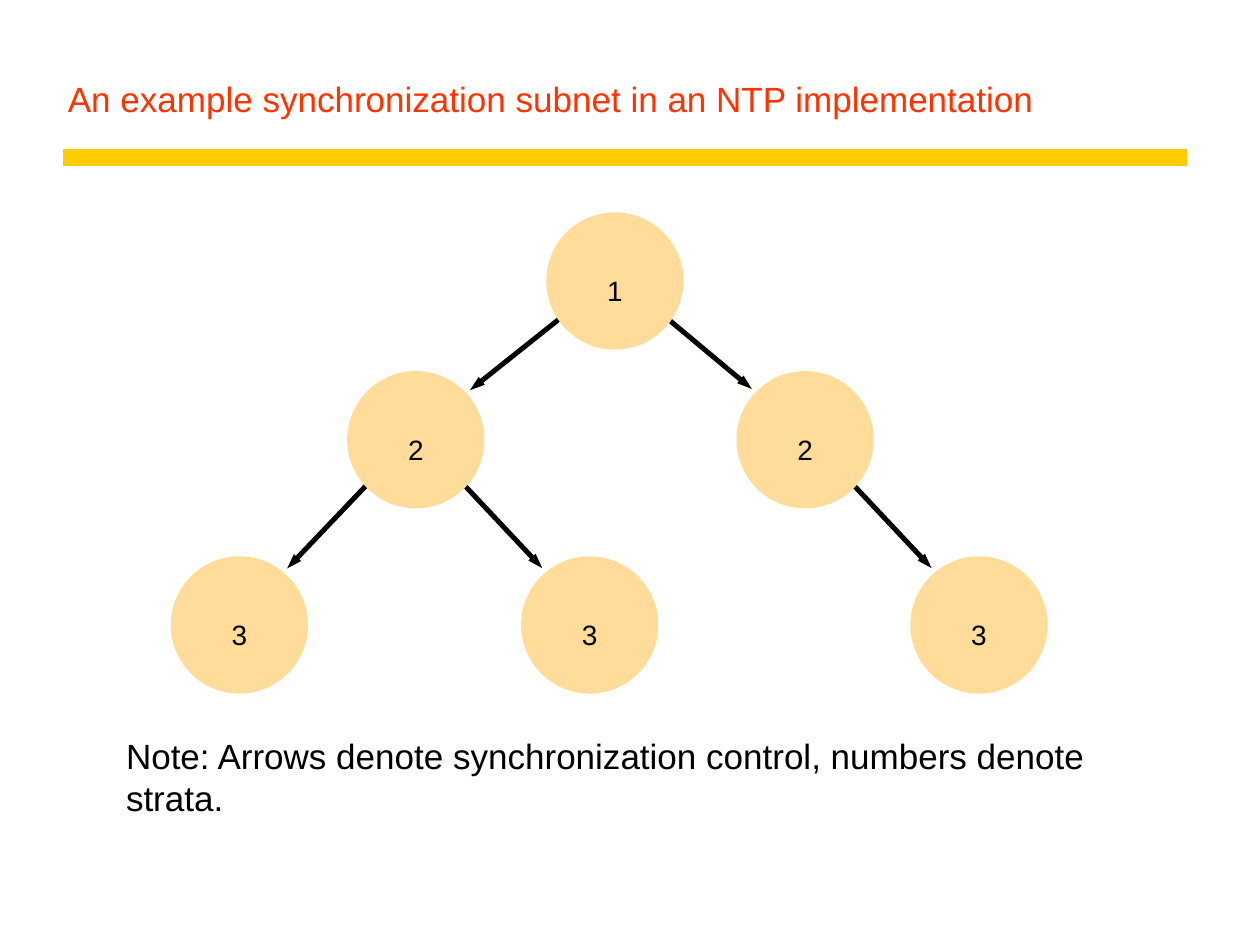
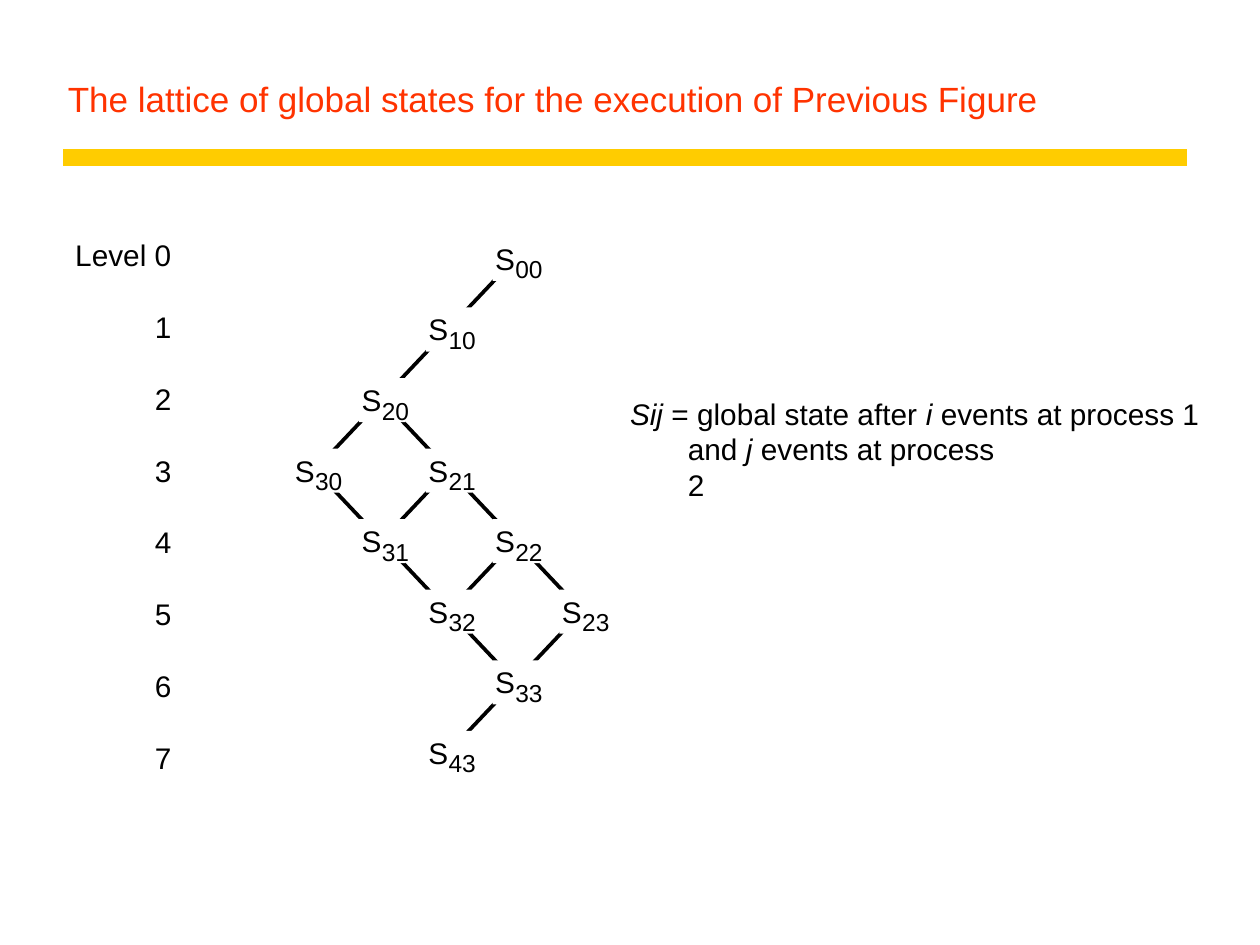
"""Two slides on clock synchronization and global states."""
import math
from itertools import combinations

from lxml import etree
from pptx import Presentation
from pptx.dml.color import RGBColor
from pptx.enum import shapes, text
from pptx.oxml import ns
from pptx.util import Inches, Pt

COLORS = {"title": "FF3300", "band": "FFCC00", "node": "FFDC99",
          "ink": "000000", "paper": "FFFFFF"}
FONT = "Arial"
NODE_SIZE = 1.05
NODES = {"a": (3.49, 0.53, "1"), "b": (1.91, 1.79, "2"), "c": (5.0, 1.79, "2"),
         "d": (0.51, 3.26, "3"), "e": (3.29, 3.26, "3"), "f": (6.38, 3.26, "3")}
LINKS = ("ab", "ac", "bd", "be", "cf")
STATES = [(0, 0), (1, 0), (2, 0), (3, 0), (2, 1), (3, 1),
          (2, 2), (3, 2), (2, 3), (3, 3), (4, 3)]


def rgb(name):
    """Return the named colour."""
    return RGBColor.from_string(COLORS[name])


def style(r, size, color="ink", italic=False):
    """Format one run."""
    r.font.name, r.font.size, r.font.italic = FONT, Pt(size), italic
    r.font.color.rgb = rgb(color)


def clear_insets(tf):
    """Remove the inner margins of a text frame."""
    tf.margin_left = tf.margin_top = tf.margin_right = tf.margin_bottom = 0


def add_label(s, x, y, w, h, parts, size, align=text.PP_ALIGN.LEFT, wrap=False):
    """Add a line of text; every second part is italic."""
    tf = s.shapes.add_textbox(Inches(x), Inches(y), Inches(w), Inches(h)).text_frame
    clear_insets(tf)
    tf.word_wrap = wrap
    p = tf.paragraphs[0]
    p.alignment = align
    for k, part in enumerate(parts):
        if part:
            r = p.add_run()
            r.text = part
            style(r, size, italic=k % 2 == 1)


def add_line(s, x1, y1, x2, y2, width, color="ink", arrow=False):
    """Add a straight line, with an arrowhead at its end if asked."""
    cn = s.shapes.add_connector(shapes.MSO_CONNECTOR.STRAIGHT, Inches(x1),
                                Inches(y1), Inches(x2), Inches(y2))
    cn.line.width = Pt(width)
    cn.line.color.rgb = rgb(color)
    if arrow:
        etree.SubElement(cn.line._get_or_add_ln(), ns.qn("a:tailEnd"),
                         type="triangle", w="sm", len="med")
    etree.SubElement(cn._element.spPr, ns.qn("a:effectLst"))


def add_solid(s, kind, x, y, w, h, color):
    """Add a plain filled shape without an outline."""
    sp = s.shapes.add_shape(kind, Inches(x), Inches(y), Inches(w), Inches(h))
    sp.shadow.inherit = False
    sp.fill.solid()
    sp.fill.fore_color.rgb = rgb(color)
    sp.line.fill.background()
    return sp


def add_titled_slide(prs, title):
    """Add a blank slide with the shared title and band."""
    s = prs.slides.add_slide(prs.slide_layouts[6])
    add_line(s, 0.5, 1.25, 9.42, 1.25, 10, "band")
    tf = s.shapes.add_textbox(Inches(0.44), Inches(0.25), Inches(8.97),
                              Inches(0.75)).text_frame
    tf.word_wrap = True
    tf.vertical_anchor = text.MSO_ANCHOR.BOTTOM
    tf.text = title
    style(tf.paragraphs[0].runs[0], 20, "title")
    return s


def add_subnet(s, x, y):
    """Draw the tree of servers with its top left corner at x, y."""
    reach, lift = 0.55, 0.05
    for a, b in LINKS:
        (x1, y1, _), (x2, y2, _) = NODES[a], NODES[b]
        angle = math.atan2(y2 - y1, x2 - x1)
        dx, dy = reach * math.cos(angle), reach * math.sin(angle)
        add_line(s, x + x1 + dx, y + y1 + dy - lift,
                 x + x2 - dx, y + y2 - dy - lift, 2.86, arrow=True)
    for cx, cy, stratum in NODES.values():
        sp = add_solid(s, shapes.MSO_SHAPE.OVAL, x + cx - NODE_SIZE / 2,
                       y + cy - NODE_SIZE / 2, NODE_SIZE, NODE_SIZE, "node")
        sp.line.color.rgb = rgb("node")
        sp.line.width = Pt(2.86)
        tf = sp.text_frame
        clear_insets(tf)
        tf.margin_top = Inches(0.15)
        tf.vertical_anchor = text.MSO_ANCHOR.MIDDLE
        tf.text = stratum
        tf.paragraphs[0].alignment = text.PP_ALIGN.CENTER
        style(tf.paragraphs[0].runs[0], 16)


def add_levels(s, x, y):
    """List the lattice levels, right-aligned in a column at x, y."""
    for level in range(8):
        name = f"Level {level}" if level == 0 else str(level)
        add_label(s, x, y + 0.57 * level, 0.77, 0.28, [name], 17,
                  text.PP_ALIGN.RIGHT)


def add_lattice(s, x, y):
    """Draw the lattice of states with the centre of S00 at x, y."""
    spots = {(i, j): (x - 0.53 * (i - j), y + 0.56 * (i + j)) for i, j in STATES}
    for a, b in combinations(STATES, 2):
        if abs(a[0] - b[0]) + abs(a[1] - b[1]) == 1:
            add_line(s, *spots[a], *spots[b], 2.13)
    for (i, j), (cx, cy) in spots.items():
        add_solid(s, shapes.MSO_SHAPE.RECTANGLE, cx - 0.18, cy - 0.17,
                  0.37, 0.35, "paper")
        add_label(s, cx - 0.16, cy - 0.14, 0.16, 0.28, ["S"], 17)
        add_label(s, cx, cy - 0.03, 0.22, 0.23, [f"{i}{j}"], 14)


def add_legend(s, x, y):
    """Explain the state names in two lines starting at x, y."""
    add_label(s, x, y, 4.52, 0.28,
              ["", "Sij", " = global state after ", "i", " events at process 1"], 17)
    add_label(s, x + 0.46, y + 0.28, 2.63, 0.28,
              ["and ", "j", " events at process 2"], 17)


def main():
    """Build and save both slides."""
    prs = Presentation()
    prs.slide_width, prs.slide_height = Inches(10), Inches(7.5)

    s = add_titled_slide(
        prs, "An example synchronization subnet in an NTP implementation")
    add_subnet(s, 1.39, 1.7)
    add_label(s, 1, 5.83, 8.15, 0.67, ["Note: Arrows denote synchronization "
              "control, numbers denote strata."], 20, wrap=True)

    s = add_titled_slide(
        prs, "The lattice of global states for the execution of Previous Figure")
    add_lattice(s, 4.09, 2.05)
    add_levels(s, 0.59, 1.88)
    add_legend(s, 5, 3.14)
    prs.save("out.pptx")


if __name__ == "__main__":
    main()
